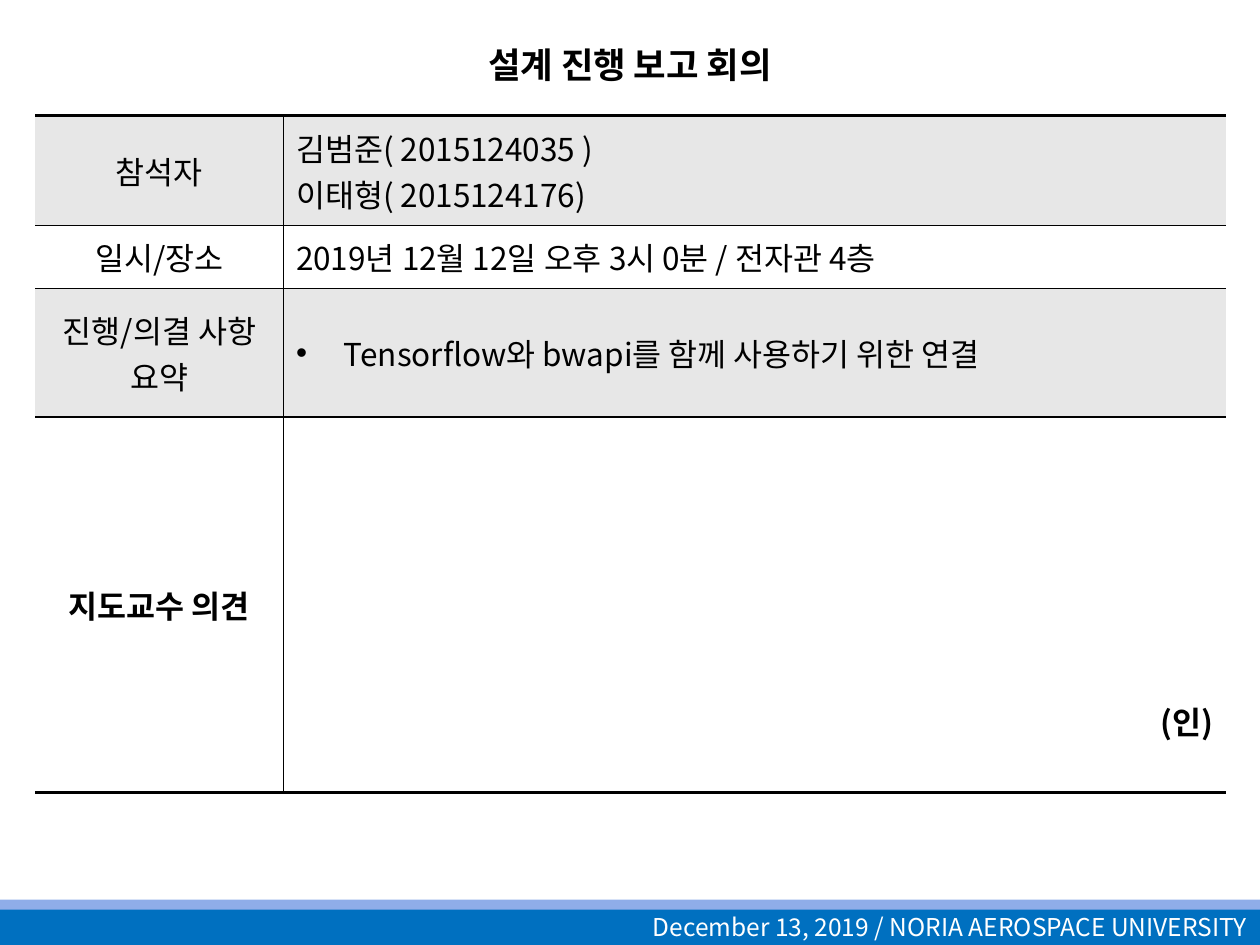
from dataclasses import dataclass

from lxml import etree
from pptx import Presentation
from pptx.dml.color import RGBColor
from pptx.enum.shapes import MSO_SHAPE
from pptx.enum.text import MSO_ANCHOR, PP_ALIGN
from pptx.oxml.ns import qn
from pptx.slide import Slide
from pptx.util import Inches, Pt

RECTANGLE = MSO_SHAPE.RECTANGLE
MIDDLE, BOTTOM = MSO_ANCHOR.MIDDLE, MSO_ANCHOR.BOTTOM
LEFT, CENTER, RIGHT = PP_ALIGN.LEFT, PP_ALIGN.CENTER, PP_ALIGN.RIGHT
COLORS = {"black": "000000", "white": "FFFFFF", "gray": "E7E7E7",
          "blue": "0070C0", "light_blue": "8FADE9"}


def write_text(frame, text, font, size=18, color="black", bold=False,
               align=LEFT, anchor=MIDDLE, bullet=False, small_caps=False):
    frame.word_wrap = True
    frame.vertical_anchor = anchor
    for index, line in enumerate(text.split("\n")):
        paragraph = frame.paragraphs[0] if index == 0 else frame.add_paragraph()
        paragraph.alignment = align
        run = paragraph.add_run()
        run.text = line
        run.font.name = font
        run.font.size = Pt(size)
        run.font.bold = bold
        run.font.color.rgb = RGBColor.from_string(COLORS[color])
        properties = run._r.get_or_add_rPr()
        etree.SubElement(properties, qn("a:ea"), typeface=font)
        if small_caps:
            properties.set("cap", "small")
        if bullet:
            indent = Inches(0.38)
            properties = paragraph._p.get_or_add_pPr()
            properties.set("marL", str(indent))
            properties.set("indent", str(-indent))
            etree.SubElement(properties, qn("a:buFont"), typeface="Arial")
            etree.SubElement(properties, qn("a:buChar"), char="•")


@dataclass
class ReportSlide:
    """Draws the elements of a meeting report in one style."""

    slide: Slide
    font: str = "Noto Sans CJK KR"

    def band(self, top, height, fill, text="", **style):
        shape = self.slide.shapes.add_shape(
            RECTANGLE, 0, Inches(top), Inches(10), Inches(height))
        shape.shadow.inherit = False
        shape.fill.solid()
        shape.fill.fore_color.rgb = RGBColor.from_string(COLORS[fill])
        shape.line.fill.background()
        if text:
            write_text(shape.text_frame, text, self.font, **style)

    def title(self, text, left, top, width, height, **style):
        box = self.slide.shapes.add_textbox(
            Inches(left), Inches(top), Inches(width), Inches(height))
        write_text(box.text_frame, text, self.font, **style)

    def border(self, cell, **widths):
        properties = cell._tc.get_or_add_tcPr()
        for position, (side, width) in enumerate(widths.items()):
            line = etree.Element(qn(f"a:ln{side}"), w=str(Pt(width)))
            fill = etree.SubElement(line, qn("a:solidFill" if width else "a:noFill"))
            if width:
                etree.SubElement(fill, qn("a:srgbClr"), val=COLORS["black"])
            properties.insert(position, line)

    def table(self, left, top, widths, rows):
        heights = [row[0] for row in rows]
        table = self.slide.shapes.add_table(
            len(rows), len(widths), Inches(left), Inches(top),
            Inches(sum(widths)), Inches(sum(heights))).table
        for column, width in zip(table.columns, widths):
            column.width = Inches(width)
        for index, (height, *entries) in enumerate(rows):
            table.rows[index].height = Inches(height)
            for column, (text, style) in enumerate(entries):
                cell = table.cell(index, column)
                cell.fill.solid()
                fill = "white" if index % 2 else "gray"
                cell.fill.fore_color.rgb = RGBColor.from_string(COLORS[fill])
                cell.vertical_anchor = style.get("anchor", MIDDLE)
                if cell.vertical_anchor == BOTTOM:
                    cell.margin_bottom = Inches(0.39)
                write_text(cell.text_frame, text, self.font, **style)
                self.border(cell, L=column, R=1 - column,
                            T=2 if index == 0 else 1,
                            B=2 if index == len(rows) - 1 else 1)


def main():
    presentation = Presentation()
    presentation.slide_width = Inches(10)
    presentation.slide_height = Inches(7.5)
    report = ReportSlide(presentation.slides.add_slide(presentation.slide_layouts[6]))

    report.band(7.21, 0.29, "blue", "December 13, 2019 / NORIA AEROSPACE UNIVERSITY",
                size=14, color="white", align=RIGHT)
    report.band(7.14, 0.08, "light_blue")
    report.title("설계 진행 보고 회의", 0.75, 0.21, 8.5, 0.55,
                 size=25.2, bold=True, align=CENTER, small_caps=True)

    label = {"align": CENTER}
    report.table(0.28, 0.92, [1.97, 7.48], [
        (0.87, ("참석자", label), ("김범준( 2015124035 )\n이태형( 2015124176)", {})),
        (0.5, ("일시/장소", label), ("2019년 12월 12일 오후 3시 0분 / 전자관 4층", {})),
        (1.02, ("진행/의결 사항 요약", label),
         ("Tensorflow와 bwapi를 함께 사용하기 위한 연결", {"bullet": True})),
        (2.98, ("지도교수 의견", {"align": CENTER, "bold": True}),
         ("(인)", {"align": RIGHT, "anchor": BOTTOM, "bold": True})),
    ])
    presentation.save("out.pptx")


if __name__ == "__main__":
    main()
